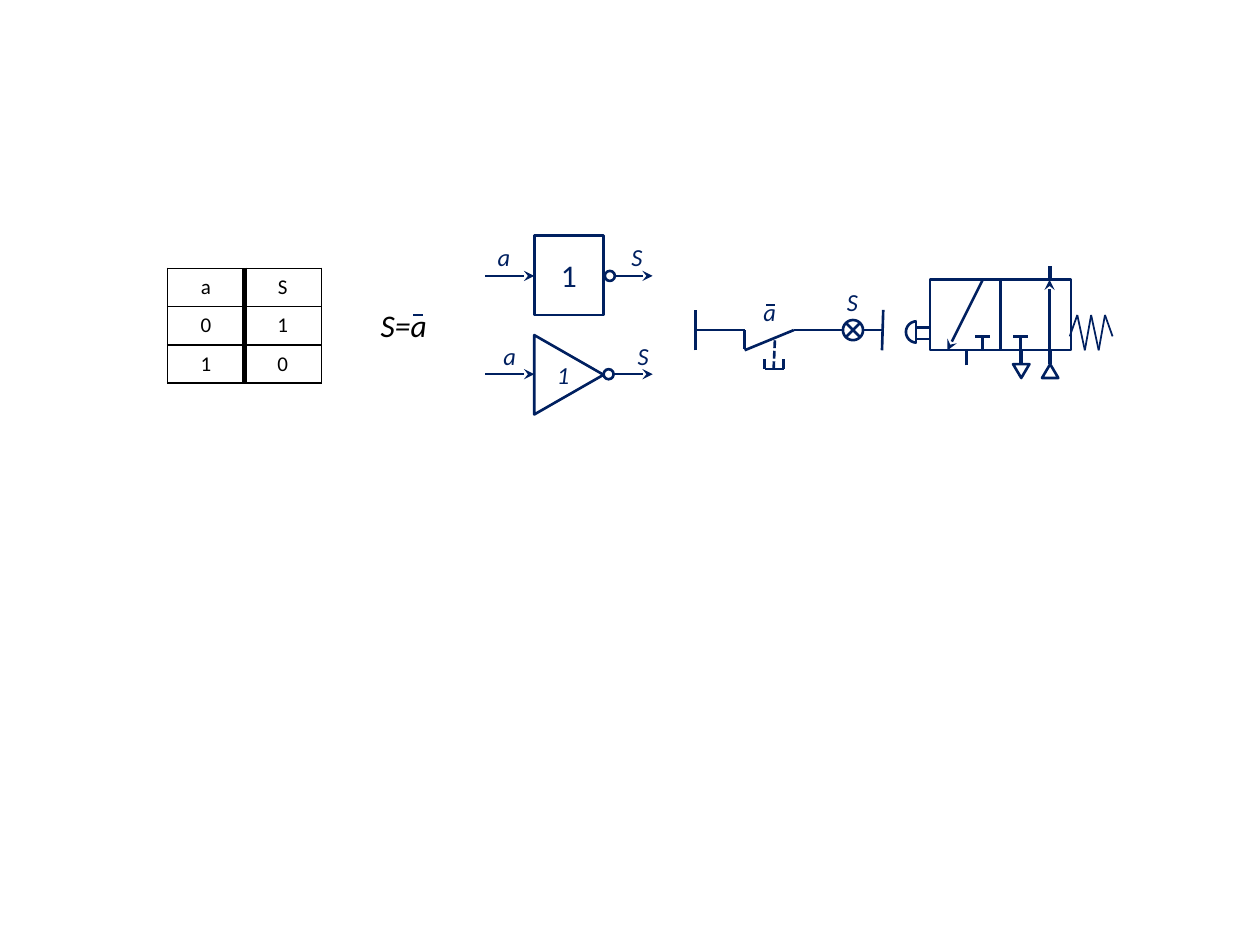
from pptx import Presentation
from pptx.dml.color import RGBColor
from pptx.enum.dml import MSO_LINE
from pptx.enum.shapes import MSO_CONNECTOR, MSO_SHAPE
from pptx.enum.text import MSO_ANCHOR, MSO_AUTO_SIZE, PP_ALIGN
from pptx.oxml.ns import qn
from pptx.util import Inches, Pt
from lxml import etree

CENTER = PP_ALIGN.CENTER
MIDDLE = MSO_ANCHOR.MIDDLE
FIT_TEXT = MSO_AUTO_SIZE.SHAPE_TO_FIT_TEXT
STRAIGHT = MSO_CONNECTOR.STRAIGHT
DASHED = MSO_LINE.SQUARE_DOT
RECTANGLE = MSO_SHAPE.RECTANGLE
TRIANGLE = MSO_SHAPE.ISOSCELES_TRIANGLE
ELLIPSE = MSO_SHAPE.OVAL
LAMP = MSO_SHAPE.FLOWCHART_SUMMING_JUNCTION
ARC = MSO_SHAPE.ARC

COLORS = {"black": "000000", "navy": "002060", "white": "FFFFFF"}
FONT = "Calibri"

presentation = Presentation()
presentation.slide_width = Inches(10)
presentation.slide_height = Inches(7.5)
slide = presentation.slides.add_slide(presentation.slide_layouts[6])


def add_line(x1, y1, x2, y2, width=1.5, arrow=False, dash=None):
    connector = slide.shapes.add_connector(
        STRAIGHT, Inches(x1), Inches(y1), Inches(x2), Inches(y2))
    connector.line.color.rgb = RGBColor.from_string(COLORS["navy"])
    connector.line.width = Pt(width)
    if dash:
        connector.line.dash_style = dash
    properties = connector._element.spPr
    if arrow:
        outline = properties.find(qn("a:ln"))
        etree.SubElement(outline, qn("a:tailEnd"), type="stealth")
    etree.SubElement(properties, qn("a:effectLst"))


def write(text_frame, text, size, color, italic=False):
    paragraph = text_frame.paragraphs[0]
    paragraph.alignment = CENTER
    run = paragraph.add_run()
    run.text = text
    run.font.name = FONT
    run.font.size = Pt(size)
    run.font.italic = italic
    run.font.color.rgb = RGBColor.from_string(COLORS[color])


truth_table = [["a", "S"], ["0", "1"], ["1", "0"]]
table = slide.shapes.add_table(
    3, 2, Inches(1.33), Inches(2.13), Inches(1.22), Inches(0.81)).table
table.first_row = False
table.horz_banding = False
for column in table.columns:
    column.width = Inches(0.61)
for row, values in zip(table.rows, truth_table):
    row.height = Inches(0.27)
    for column_index, value in enumerate(values):
        cell = row.cells[column_index]
        write(cell.text_frame, value, 12, "black")
        thick_side = "R" if column_index == 0 else "L"
        cell_properties = cell._tc.get_or_add_tcPr()
        for side in "LRTB":
            width = 3 if side == thick_side else 1
            border = etree.SubElement(
                cell_properties, qn("a:ln" + side), w=str(Pt(width)))
            fill = etree.SubElement(border, qn("a:solidFill"))
            etree.SubElement(fill, qn("a:srgbClr"), val=COLORS["black"])
        cell.fill.background()

GATE_Y = 2.19
INVERTER_Y = 2.97
lines = [
    (3.28, 2.5, 3.36, 2.5),
    (6.08, 2.42, 6.15, 2.42),
    (5.52, 2.78, 5.52, 2.46),
    (5.52, 2.62, 5.91, 2.62),
    (5.91, 2.77, 5.91, 2.62),
    (5.91, 2.78, 6.3, 2.62),
    (6.14, 2.93, 6.15, 2.7, 1.5, False, DASHED),
    (6.07, 2.93, 6.22, 2.93),
    (6.07, 2.85, 6.07, 2.93),
    (6.22, 2.85, 6.22, 2.93),
    (6.3, 2.62, 6.69, 2.62),
    (6.85, 2.62, 7, 2.62),
    (7, 2.78, 7.01, 2.46),
    (7.8, 2.22, 7.52, 2.78, 1.5, True),
    (8.33, 2.78, 8.33, 2.22, 1.5, True),
    (8.33, 2.22, 8.33, 2.11, 2.25),
    (8.33, 2.89, 8.33, 2.78, 2.25),
    (8.1, 2.89, 8.1, 2.78, 2.25),
    (7.67, 2.9, 7.67, 2.78),
    (7.27, 2.72, 7.27, 2.55),
    (7.27, 2.6, 7.38, 2.6),
    (7.27, 2.69, 7.38, 2.69),
]
for x in (7.8, 8.1):
    lines.append((x, 2.78, x, 2.67))
    lines.append((x - 0.06, 2.67, x + 0.06, 2.67))
for y in (GATE_Y, INVERTER_Y):
    for x in (3.85, 4.79):
        lines.append((x, y, x + 0.39, y, 1.5, True))

spring = [(8.49, 2.67), (8.55, 2.5), (8.61, 2.78), (8.66, 2.5),
          (8.72, 2.78), (8.77, 2.5), (8.83, 2.67)]
for start, end in zip(spring, spring[1:]):
    lines.append((*start, *end, 1))

for line in lines:
    add_line(*line)

shapes = [
    (RECTANGLE, 4.24, 1.87, 0.55, 0.63, 0, None, "1"),
    (TRIANGLE, 4.2, 2.7, 0.63, 0.55, 90, None, ""),
    (ELLIPSE, 4.8, GATE_Y - 0.04, 0.08, 0.08, 0, "white", ""),
    (ELLIPSE, 4.79, INVERTER_Y - 0.04, 0.08, 0.08, 0, "white", ""),
    (LAMP, 6.69, 2.54, 0.16, 0.16, 0, "white", ""),
    (RECTANGLE, 7.38, 2.22, 0.56, 0.56, 0, None, ""),
    (RECTANGLE, 7.94, 2.22, 0.56, 0.56, 0, None, ""),
    (TRIANGLE, 8.27, 2.89, 0.13, 0.11, 0, None, ""),
    (TRIANGLE, 8.04, 2.89, 0.13, 0.11, 180, None, ""),
    (ARC, 7.19, 2.55, 0.17, 0.17, 0, None, ""),
]
for kind, left, top, width, height, rotation, fill, text in shapes:
    shape = slide.shapes.add_shape(
        kind, Inches(left), Inches(top), Inches(width), Inches(height))
    shape.shadow.inherit = False
    shape.rotation = rotation
    shape.line.color.rgb = RGBColor.from_string(COLORS["navy"])
    shape.line.width = Pt(1.5)
    if fill:
        shape.fill.solid()
        shape.fill.fore_color.rgb = RGBColor.from_string(COLORS[fill])
    else:
        shape.fill.background()
    if kind == ARC:
        shape.adjustments[0] = 54
        shape.adjustments[1] = 162
    if text:
        shape.text_frame.vertical_anchor = MIDDLE
        write(shape.text_frame, text, 18, "navy")

labels = [
    ("S=a", 2.89, 2.38, 0.63, 0.4, 18, "black", True),
    ("a", 3.85, 1.87, 0.3, 0.34, 14, "navy", False),
    ("S", 4.91, 1.87, 0.29, 0.34, 14, "navy", False),
    ("1", 4.32, 2.81, 0.3, 0.34, 14, "navy", False),
    ("a", 3.85, 2.66, 0.39, 0.34, 14, "navy", True),
    ("S", 4.91, 2.66, 0.39, 0.34, 14, "navy", True),
    ("a", 5.96, 2.31, 0.3, 0.34, 14, "navy", False),
    ("S", 6.57, 2.23, 0.39, 0.34, 14, "navy", True),
]
for text, left, top, width, height, size, color, wrap in labels:
    label = slide.shapes.add_textbox(
        Inches(left), Inches(top), Inches(width), Inches(height))
    label.text_frame.word_wrap = wrap
    label.text_frame.auto_size = FIT_TEXT
    write(label.text_frame, text, size, color, italic=True)

presentation.save("out.pptx")
